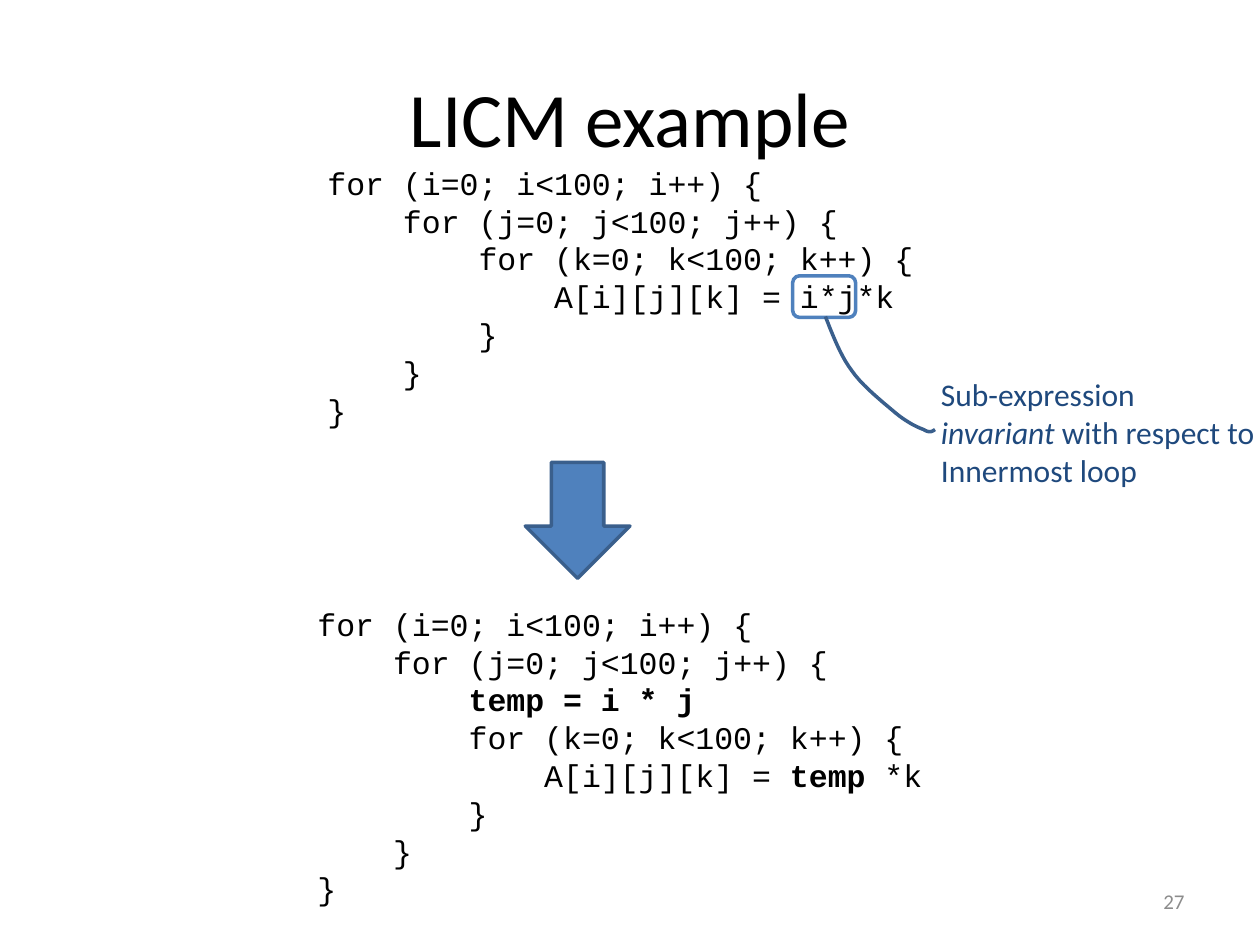
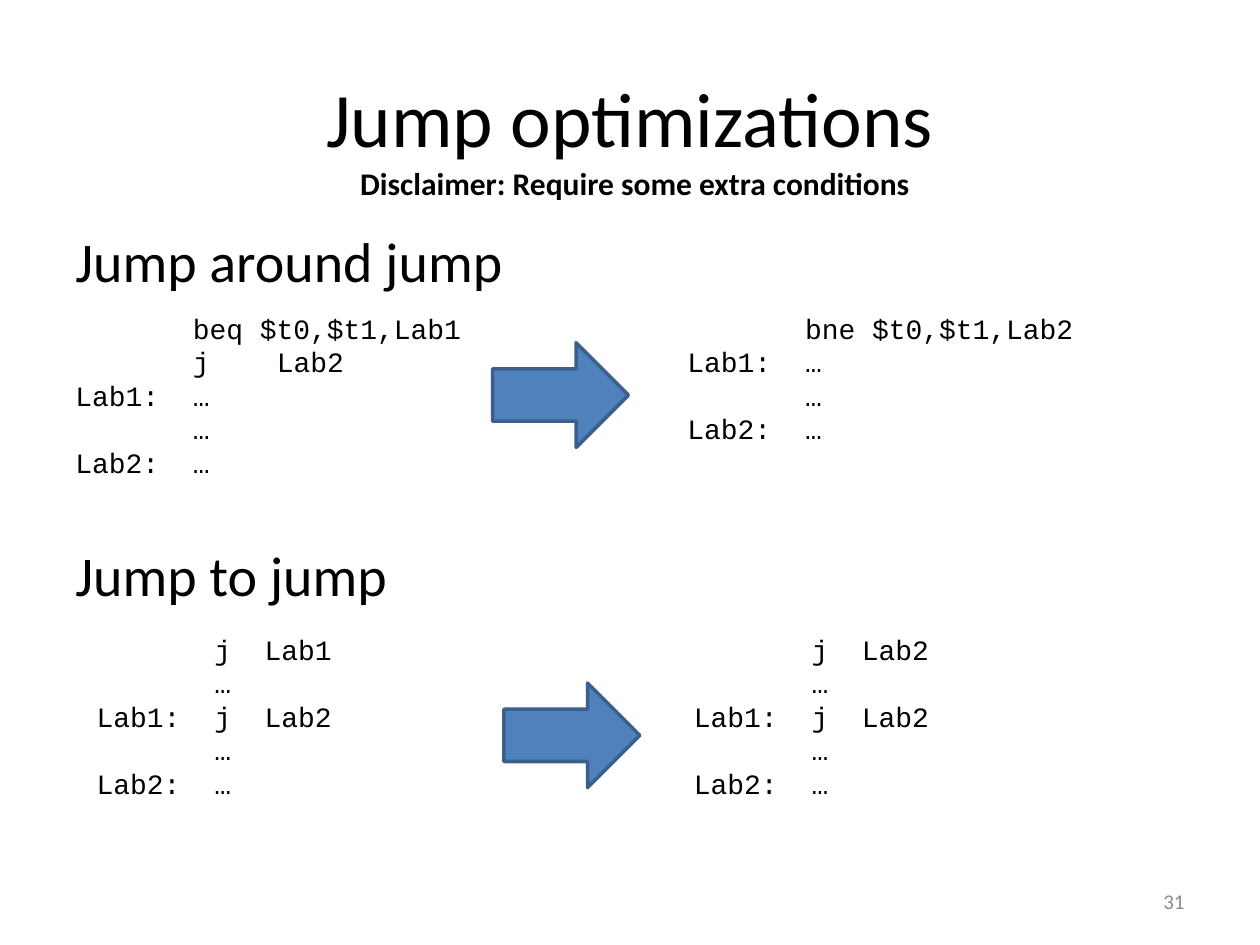
from lxml import etree
from pptx import Presentation
from pptx.dml.color import RGBColor
from pptx.enum.shapes import MSO_SHAPE
from pptx.enum.text import MSO_ANCHOR, PP_ALIGN
from pptx.oxml.ns import qn
from pptx.util import Cm, Pt

BLACK, GRAY, NAVY = "000000", "8C8C8C", "1F497D"
BLUE, OUTLINE = "4F81BD", "3A5F8C"
SANS, MONO = "Calibri", "Courier New"
CHAR_WIDTH = 0.6  # Courier New advance, as a share of the font size
CODE_SIZE, ASSEMBLY_SIZE = 18, 16

NESTED_LOOPS = [
    (0, "for (i=0; i<100; i++) {"),
    (1, "for (j=0; j<100; j++) {"),
    (2, "for (k=0; k<100; k++) {"),
    (3, "A[i][j][k] = i*j*k"),
    (2, "}"),
    (1, "}"),
    (0, "}"),
]
HOISTED_LOOPS = [
    *NESTED_LOOPS[:2],
    (2, "|temp = i * j"),
    NESTED_LOOPS[2],
    (3, "A[i][j][k] = |temp |*k"),
    *NESTED_LOOPS[4:],
]
CALLOUT_CURVE = [
    (18.85, 8.66), (18.8, 8.69), (18.75, 8.74), (18.62, 8.66),
    (18.49, 8.61), (18.31, 8.53), (18.06, 8.33),
    (17.83, 8.13), (17.4, 7.8), (17.17, 7.47),
    (16.94, 7.16), (16.79, 6.76), (16.64, 6.38),
]


def color(hex_string):
    return RGBColor.from_string(hex_string)


def add_text(slide, box, lines, size, font=SANS, ink=BLACK, bold=False,
             align=PP_ALIGN.LEFT, anchor=MSO_ANCHOR.TOP, wrap=True, emphasis="bold"):
    """Add a text box; a bar in a line switches the emphasis on or off."""
    frame = slide.shapes.add_textbox(*map(Cm, box)).text_frame
    frame.word_wrap = wrap
    frame.vertical_anchor = anchor
    for index, line in enumerate(lines):
        paragraph = frame.add_paragraph() if index else frame.paragraphs[0]
        paragraph.alignment = align
        paragraph.font.name = font
        paragraph.font.size = Pt(size)
        paragraph.font.bold = bold
        paragraph.font.color.rgb = color(ink)
        for part, text in enumerate(line.split("|")):
            if text:
                run = paragraph.add_run()
                run.text = text
                if part % 2:
                    setattr(run.font, emphasis, True)
    return frame


def add_code(slide, box, lines):
    """Add source code from (nesting depth, text) pairs."""
    frame = add_text(slide, box, [text for _, text in lines], CODE_SIZE, MONO)
    step = Pt(4 * CHAR_WIDTH * CODE_SIZE)
    for paragraph, (depth, _) in zip(frame.paragraphs, lines):
        properties = paragraph._p.get_or_add_pPr()
        properties.set("marL", str(depth * step))
        properties.set("indent", "0")


def add_assembly(slide, box, lines, columns):
    """Add assembly code whose tabs stop at the given character columns."""
    frame = add_text(slide, box, lines, ASSEMBLY_SIZE, MONO)
    for paragraph in frame.paragraphs:
        tabs = etree.Element(qn("a:tabLst"))
        for column in columns:
            position = Pt(column * CHAR_WIDTH * ASSEMBLY_SIZE)
            etree.SubElement(tabs, qn("a:tab"), pos=str(position), algn="l")
        paragraph._p.get_or_add_pPr().insert(0, tabs)


def style_shape(shape, line, fill=None):
    shape.shadow.inherit = False
    shape.line.color.rgb = color(line)
    shape.line.width = Pt(2)
    if fill:
        shape.fill.solid()
        shape.fill.fore_color.rgb = color(fill)
    else:
        shape.fill.background()


def add_preset(slide, kind, box, line=OUTLINE, fill=None):
    style_shape(slide.shapes.add_shape(kind, *map(Cm, box)), line, fill)


def bezier_point(controls, t):
    weights = ((1 - t) ** 3, 3 * t * (1 - t) ** 2, 3 * t ** 2 * (1 - t), t ** 3)
    return tuple(Cm(sum(w * point[axis] for w, point in zip(weights, controls)))
                 for axis in (0, 1))


def add_curve(slide, controls, steps=10):
    """Draw chained cubic Bezier segments as one open outline."""
    points = [bezier_point(controls[start:start + 4], step / steps)
              for start in range(0, len(controls) - 1, 3)
              for step in range(1, steps + 1)]
    builder = slide.shapes.build_freeform(*map(Cm, controls[0]))
    builder.add_line_segments(points, close=False)
    style_shape(builder.convert_to_shape(), OUTLINE)


def add_slide(presentation, title, number):
    slide = presentation.slides.add_slide(presentation.slide_layouts[6])
    add_text(slide, (1.27, 0.76, 22.86, 3.18), [title], 44,
             align=PP_ALIGN.CENTER, anchor=MSO_ANCHOR.MIDDLE)
    add_text(slide, (18.21, 17.65, 5.92, 1.02), [str(number)], 12, ink=GRAY,
             align=PP_ALIGN.RIGHT, anchor=MSO_ANCHOR.MIDDLE)
    return slide


def build_licm_slide(presentation):
    slide = add_slide(presentation, "LICM example", 27)
    add_code(slide, (6.35, 3.18, 12.7, 5.64), NESTED_LOOPS)
    add_preset(slide, MSO_SHAPE.ROUNDED_RECTANGLE, (15.98, 5.56, 1.27, 0.84), line=BLUE)
    add_curve(slide, CALLOUT_CURVE)
    add_text(slide, (18.72, 7.44, 6.91, 2.57),
             ["Sub-expression", "|invariant |with respect to", "Innermost loop"],
             18, ink=NAVY, wrap=False, emphasis="italic")
    add_preset(slide, MSO_SHAPE.DOWN_ARROW, (10.59, 9.32, 2.11, 2.34), fill=BLUE)
    add_code(slide, (6.15, 12.07, 12.7, 6.4), HOISTED_LOOPS)


def build_jump_slide(presentation):
    slide = add_slide(presentation, "Jump optimizations", 31)
    add_text(slide, (7.01, 3.18, 11.68, 1.02),
             ["Disclaimer: Require some extra conditions"], 18, bold=True, wrap=False)
    for top, heading in ((4.45, "Jump around jump"), (10.77, "Jump to jump")):
        add_text(slide, (1.27, top, 22.86, 1.63), [heading], 32)

    add_assembly(slide, (1.27, 6.15, 8.41, 3.68),
                 ["\tbeq $t0,$t1,Lab1", "\tj\tLab2", "Lab1:\t…", "\t…", "Lab2:\t…"], (7, 12))
    add_assembly(slide, (13.61, 6.15, 8.41, 3),
                 ["\tbne $t0,$t1,Lab2", "Lab1:\t…", "\t…", "Lab2:\t…"], (7,))
    for left, target in ((1.7, "Lab1"), (13.74, "Lab2")):
        add_assembly(slide, (left, 12.62, 5.31, 3.68),
                     [f"\tj\t{target}", "\t…", "Lab1:\tj\tLab2", "\t…", "Lab2:\t…"], (7, 10))
    for left, top in ((9.93, 6.91), (10.16, 13.77)):
        add_preset(slide, MSO_SHAPE.RIGHT_ARROW, (left, top, 2.74, 2.11), fill=BLUE)


def main():
    presentation = Presentation()
    presentation.slide_width, presentation.slide_height = Cm(25.4), Cm(19.05)
    build_licm_slide(presentation)
    build_jump_slide(presentation)
    presentation.save("out.pptx")


if __name__ == "__main__":
    main()
